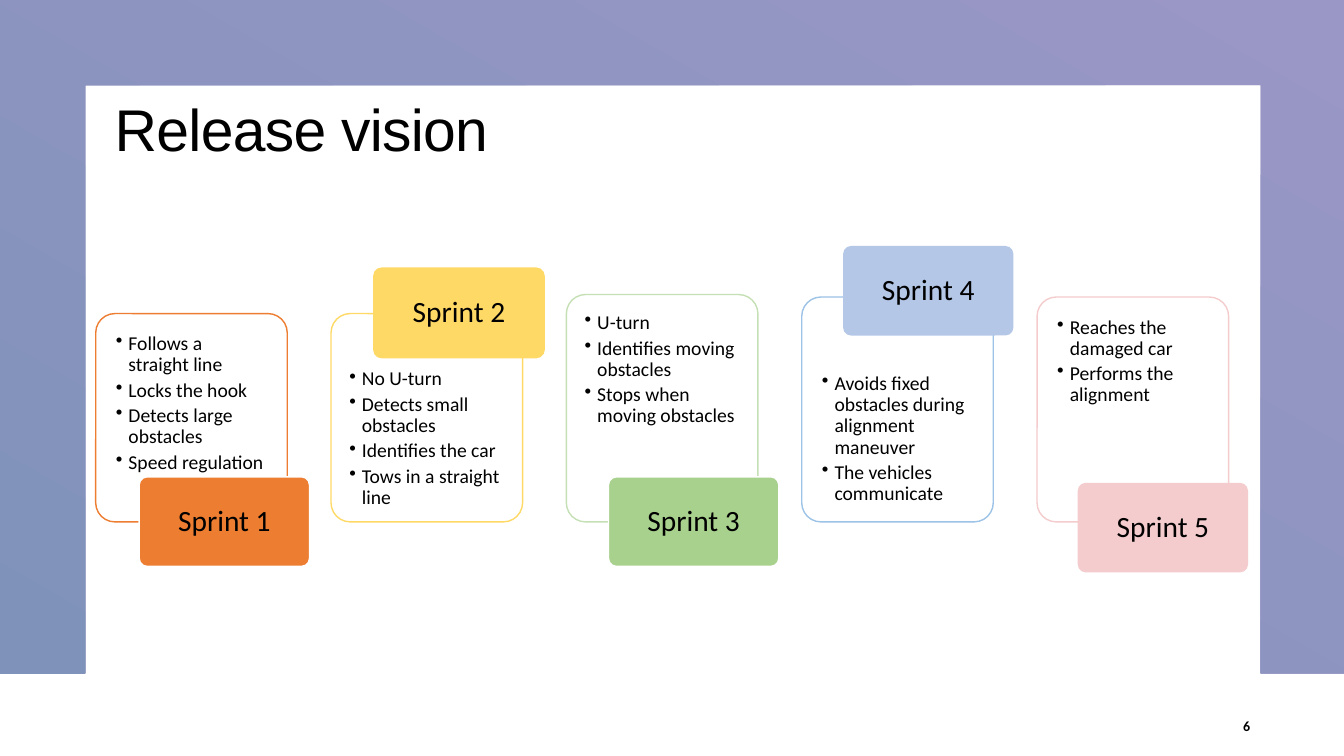
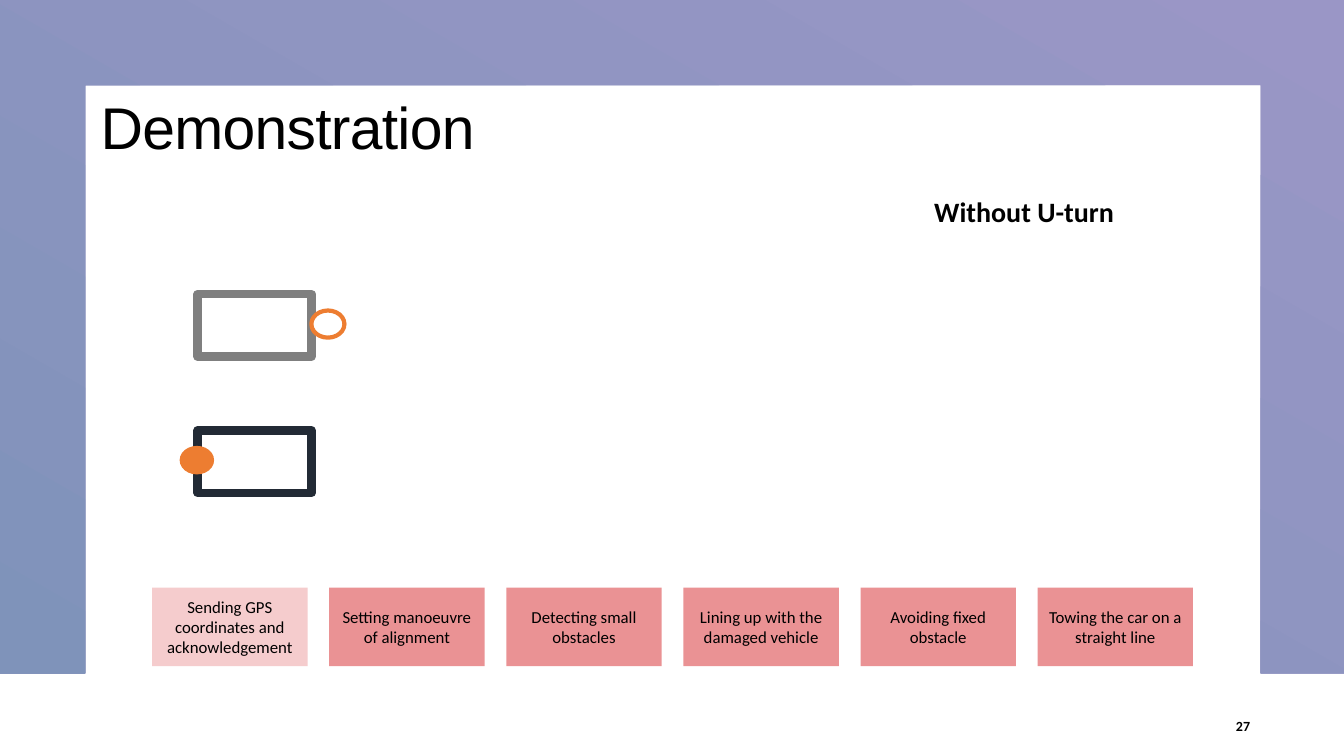
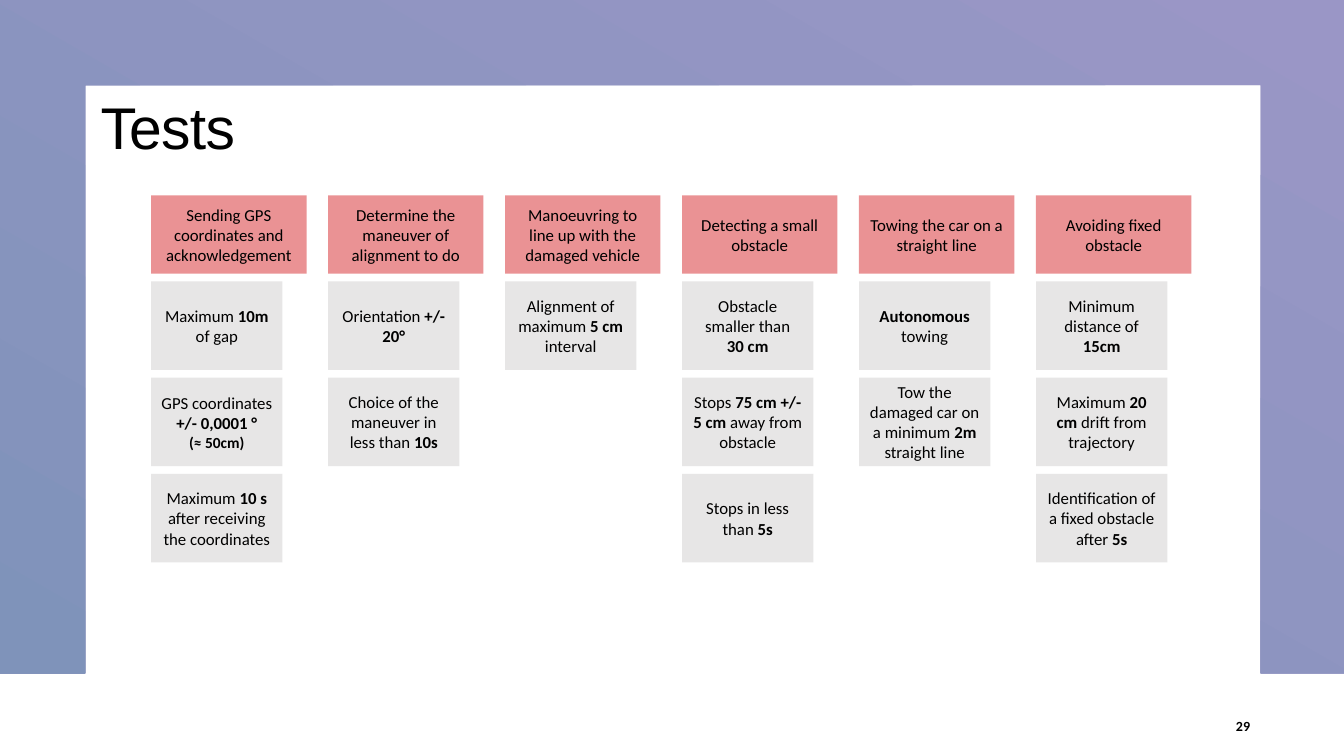
from lxml import etree
from pptx import Presentation
from pptx.dml.color import RGBColor
from pptx.enum.shapes import MSO_SHAPE
from pptx.enum.text import MSO_ANCHOR, PP_ALIGN
from pptx.oxml.ns import qn
from pptx.util import Pt

RECTANGLE = MSO_SHAPE.RECTANGLE
ROUNDED = MSO_SHAPE.ROUNDED_RECTANGLE
OVAL = MSO_SHAPE.OVAL
TOP, MIDDLE = MSO_ANCHOR.TOP, MSO_ANCHOR.MIDDLE
LEFT, CENTER, RIGHT = PP_ALIGN.LEFT, PP_ALIGN.CENTER, PP_ALIGN.RIGHT

COLORS = {
    "black": "000000", "white": "FFFFFF", "purple": "9A96C6", "blue": "7F93BA",
    "orange": "ED7D31", "yellow": "FFD966", "green": "A9D18E", "pale green": "C5E0B4",
    "sky": "B4C7E7", "sky line": "9DC3E6", "pink": "F5CCCD", "rose": "EA9294",
    "light gray": "E7E6E6", "gray": "7F7F7F", "navy": "222A35",
}

SPRINTS = [
    dict(panel_top=224, line="orange", side=14.4, text_top=14.4,
         tab_top=340.6, fill="orange", border="white",
         goals=["Follows a straight line", "Locks the hook",
                "Detects large obstacles", "Speed regulation"]),
    dict(panel_top=224, line="yellow", side=13, text_top=39.6,
         tab_top=191.5, fill="yellow", border="yellow",
         goals=["No U-turn", "Detects small obstacles", "Identifies the car",
                "Tows in a straight line"]),
    dict(panel_top=210.4, line="pale green", side=13, text_top=13,
         tab_top=340.6, fill="green", border="white",
         goals=["U-turn", "Identifies moving obstacles", "Stops when moving obstacles"]),
    dict(panel_top=212.2, line="sky line", side=14.4, text_top=54.7,
         tab_top=175.7, fill="sky", border=None,
         goals=["Avoids fixed obstacles during alignment maneuver",
                "The vehicles communicate"]),
    dict(panel_top=212.2, line="pink", side=14.4, text_top=14.4,
         tab_top=344.9, fill="pink", border=None,
         goals=["Reaches the damaged car", "Performs the alignment"]),
]

STEPS = [
    "Sending GPS coordinates and acknowledgement",
    "Setting manoeuvre of alignment",
    "Detecting small obstacles",
    "Lining up with the damaged vehicle",
    "Avoiding fixed obstacle",
    "Towing the car on a straight line",
]

TESTS = {
    "Sending GPS coordinates and acknowledgement": [
        "Maximum *10m* of gap",
        "GPS coordinates *+/- 0,0001 °*\n^*(≈ 50cm)*",
        "Maximum *10 s *after receiving the coordinates",
    ],
    "Determine the maneuver of alignment to do": [
        "Orientation *+/- 20°*",
        "Choice of the maneuver in less than *10s*",
    ],
    "Manoeuvring to line up with the damaged vehicle": [
        "Alignment of maximum* 5 cm *interval",
    ],
    "Detecting a small obstacle": [
        "Obstacle smaller than\n*30 cm*",
        "Stops *75 cm +/- 5 cm *away from obstacle",
        "Stops in less than *5s*",
    ],
    "Towing the car on a straight line": [
        "*Autonomous* towing",
        "Tow the damaged car on a minimum *2m *straight line",
    ],
    "Avoiding fixed obstacle": [
        "Minimum distance of *15cm*",
        "Maximum *20 cm *drift from trajectory",
        "Identification of a fixed obstacle after *5s*",
    ],
}


def color(name):
    return RGBColor.from_string(COLORS[name])


class Deck:
    body_font = "Calibri"
    title_font = "Arial"

    def __init__(self):
        self.deck = Presentation()
        self.deck.slide_width, self.deck.slide_height = Pt(960), Pt(540)
        self.page = None

    def new_page(self, title, number, left=64.8, top=64.8):
        self.page = self.deck.slides.add_slide(self.deck.slide_layouts[6])
        self.frame()
        self.title(title, left, top)
        self.label(858.2, 504, 41.8, 28.8, f"*{number}*", 10, RIGHT, MIDDLE)

    def frame(self):
        outline = [(960, 0), (960, 481), (900.5, 481), (900.5, 60.8),
                   (60.8, 60.8), (60.8, 481), (0, 481)]
        builder = self.page.shapes.build_freeform(0, 0)
        builder.add_line_segments([(Pt(x), Pt(y)) for x, y in outline], close=True)
        band = builder.convert_to_shape()
        band.shadow.inherit = False
        band.line.fill.background()
        band.fill.gradient()
        band.fill.gradient_angle = 240
        for stop, name in zip(band.fill.gradient_stops, ("purple", "blue")):
            stop.color.rgb = color(name)

    def title(self, text, left, top):
        box = self.label(left, top, 720, 59, text, 42, LEFT, TOP, self.title_font)
        para = box.text_frame.paragraphs[0]
        para.line_spacing = 0.95
        for span in para.runs:
            span._r.get_or_add_rPr().set("spc", "-50")

    def label(self, left, top, width, height, text, size, align, anchor, font=body_font):
        box = self.page.shapes.add_textbox(Pt(left), Pt(top), Pt(width), Pt(height))
        self.fill_text(box, text, size, align, anchor, font)
        return box

    def fill_text(self, box, text, size, align, anchor, font=body_font):
        frame = box.text_frame
        frame.word_wrap = True
        frame.vertical_anchor = anchor
        for index, line in enumerate(text.split("\n")):
            para = frame.paragraphs[0] if index == 0 else frame.add_paragraph()
            para.alignment = align
            line_size = size - 1 if line.startswith("^") else size
            for part, words in enumerate(line.lstrip("^").split("*")):
                if words:
                    span = para.add_run()
                    span.text = words
                    span.font.name = font
                    span.font.size = Pt(line_size)
                    span.font.bold = part % 2 == 1
                    span.font.color.rgb = color("black")

    def shape(self, kind, left, top, width, height, fill, line=None, weight=1):
        box = self.page.shapes.add_shape(kind, Pt(left), Pt(top), Pt(width), Pt(height))
        box.shadow.inherit = False
        box.fill.solid()
        box.fill.fore_color.rgb = color(fill)
        if line:
            box.line.color.rgb = color(line)
            box.line.width = Pt(weight)
        else:
            box.line.fill.background()
        return box

    def tile(self, left, top, width, height, text, fill):
        box = self.shape(RECTANGLE, left, top, width, height, fill)
        self.fill_text(box, text, 12, CENTER, MIDDLE)

    def panel(self, left, top, width, height, goals, line, side, text_top):
        box = self.shape(ROUNDED, left, top, width, height, "white", line)
        box.adjustments[0] = 0.1
        corner = 4
        frame = box.text_frame
        frame.margin_left = frame.margin_right = Pt(side - corner)
        frame.margin_top, frame.margin_bottom = Pt(text_top - corner), Pt(0)
        self.fill_text(box, "\n".join(goals), 14, LEFT, TOP)
        for para in frame.paragraphs:
            props = para._p.get_or_add_pPr()
            props.set("marL", str(Pt(9)))
            props.set("indent", str(-Pt(9)))
            etree.SubElement(props, qn("a:buChar")).set("char", "•")
            para.line_spacing = 0.9
            para.space_after = Pt(3)

    def tab(self, left, top, text, fill, border):
        box = self.shape(ROUNDED, left, top, 121.7, 64, fill, border)
        box.adjustments[0] = 0.09
        self.fill_text(box, text, 21, CENTER, MIDDLE)
        box.text_frame.paragraphs[0].line_spacing = 0.9

    def vehicle(self, left, top, line, hook_left, hook_fill, hook_weight):
        self.shape(RECTANGLE, left, top, 81.4, 44.6, "white", line, 6)
        self.shape(OVAL, hook_left, top + 11.6, 23.6, 19.4, hook_fill, "orange", hook_weight)


def release_vision(deck):
    deck.new_page("Release vision", 6, 74.9, 66.2)
    for index, sprint in enumerate(SPRINTS):
        top = sprint["panel_top"]
        deck.panel(68.4 + 168.1 * index, top, 136.8, 372.8 - top, sprint["goals"],
                   sprint["line"], sprint["side"], sprint["text_top"])
        deck.tab(99.4 + 167.6 * index, sprint["tab_top"], f"Sprint {index + 1}",
                 sprint["fill"], sprint["border"])


def demonstration(deck):
    deck.new_page("Demonstration", 27)
    deck.label(660.2, 135.4, 162, 31.5, "*Without U-turn*", 20, LEFT, TOP)
    deck.vehicle(141.2, 210.2, "gray", 222.4, "white", 3)
    deck.vehicle(141.2, 307.4, "navy", 128.8, "orange", 1)
    for index, step in enumerate(STEPS):
        fill = "rose" if index else "pink"
        deck.tile(108.7 + 126.5 * index, 419.8, 111, 56, step, fill)


def tests(deck):
    deck.new_page("Tests", 29)
    for column, (heading, criteria) in enumerate(TESTS.items()):
        left = 108 + 126.4 * column
        deck.tile(left, 139.5, 111, 56, heading, "rose")
        for row, criterion in enumerate(criteria):
            deck.tile(left, 201 + 68.8 * row, 93.8, 63.2, criterion, "light gray")


def main():
    deck = Deck()
    release_vision(deck)
    demonstration(deck)
    tests(deck)
    deck.deck.save("out.pptx")


if __name__ == "__main__":
    main()
